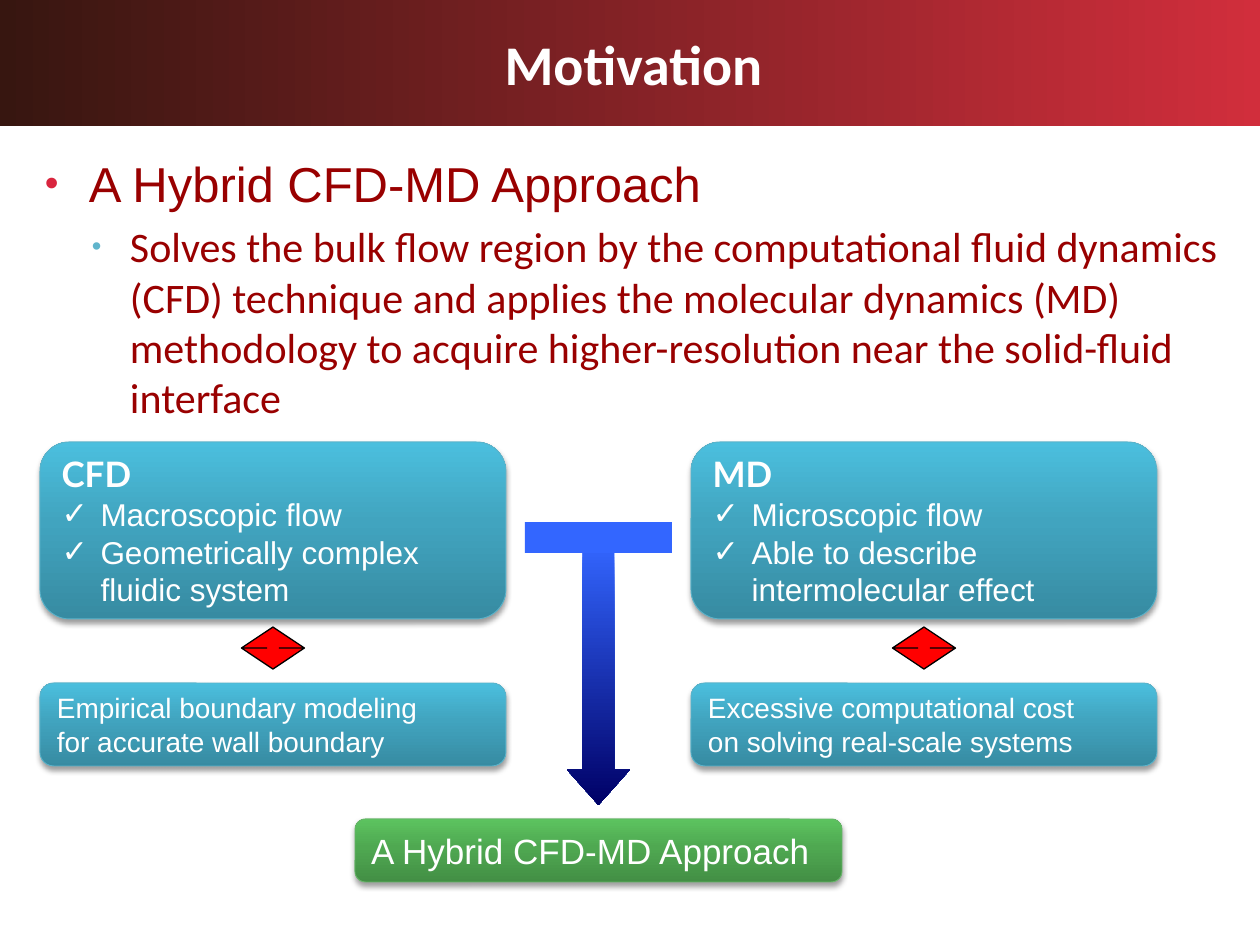
from copy import deepcopy

from lxml.etree import SubElement
from pptx import Presentation
from pptx.dml.color import RGBColor
from pptx.enum.shapes import MSO_SHAPE as Shape
from pptx.enum.text import MSO_ANCHOR as Anchor, MSO_AUTO_SIZE as AutoSize, PP_ALIGN as Align
from pptx.oxml.ns import qn
from pptx.util import Emu, Pt

SCALE = 914400 / 126  # EMU in one px
BLUE = ["378BA2", "41A4BF", "4BBFDE"]
GREEN = ["438F45", "4FA851", "5CC35F"]


def px(length):
    return Emu(round(length * SCALE))


def color(value):
    return RGBColor.from_string(value)


class SlideBuilder:
    """Holds the style and the slide that is being filled."""

    heading = {"name": "Calibri", "size": Pt(32), "bold": True, "color": "FFFFFF"}
    topic = {"name": "Arial", "size": Pt(28), "color": "990000"}
    detail = {"name": "Calibri", "size": Pt(24), "color": "990000"}
    method = {"name": "Lato", "size": Pt(20), "bold": True, "color": "FFFFFF"}
    point = {"name": "Arial", "size": Pt(18), "bold": False, "color": "FFFFFF"}
    limit = {"name": "Arial", "size": Pt(16), "color": "FFFFFF"}
    result = {"name": "Arial", "size": Pt(20), "color": "FFFFFF"}

    def __init__(self, deck):
        self.slide = deck.slides.add_slide(deck.slide_layouts[1])

    def place(self, item, box):
        for name, length in zip(("left", "top", "width", "height"), box):
            setattr(item, name, px(length))

    def frame(self, item, anchor, insets=(13, 6, 13, 6)):
        frame = item.text_frame
        sides = ("margin_left", "margin_top", "margin_right", "margin_bottom")
        values = dict(zip(sides, map(px, insets)))
        values.update(word_wrap=True, auto_size=AutoSize.NONE, vertical_anchor=anchor)
        for name, value in values.items():
            setattr(frame, name, value)
        return frame

    def gradient(self, item, colors, angle):
        item.fill.gradient()
        item.fill.gradient_angle = angle
        stop_list = item._element.spPr.find(".//" + qn("a:gsLst"))
        if len(colors) == 3:
            stop_list.insert(1, deepcopy(stop_list[0]))
        positions = (0, 0.55, 1) if len(colors) == 3 else (0, 1)
        for stop, value, position in zip(item.fill.gradient_stops, colors, positions):
            stop.color.rgb = color(value)
            stop.position = position

    def paragraph(self, frame, text, style, align=Align.LEFT, level=0, before=0,
                  indent=None, bullet=None):
        first = not frame.paragraphs[0].runs
        para = frame.paragraphs[0] if first else frame.add_paragraph()
        para.text = text.replace("\n", "\v")
        para.alignment, para.level, para.space_before = align, level, Pt(before)
        props = para._p.get_or_add_pPr()
        if indent:
            props.set("marL", str(px(indent[0])))
            props.set("indent", str(px(indent[1])))
        if bullet:
            char, tint, percent = bullet
            SubElement(SubElement(props, qn("a:buClr")), qn("a:srgbClr"), val=tint)
            SubElement(props, qn("a:buSzPct"), val=str(percent * 1000))
            SubElement(props, qn("a:buFont"), typeface="Arial")
            SubElement(props, qn("a:buChar"), char=char)
        for span in para.runs:
            for name, value in style.items():
                if name == "color":
                    span.font.color.rgb = color(value)
                else:
                    setattr(span.font, name, value)
        # Line breaks take the run format, so that line heights agree
        for line_break in para._p.findall(qn("a:br")):
            line_break.append(deepcopy(para.runs[0]._r.rPr))

    def title(self, text, box):
        title = self.slide.shapes.title
        self.place(title, box)
        self.gradient(title, ["371610", "D12E3C"], 0)
        frame = self.frame(title, Anchor.MIDDLE, (13, 6, 6, 6))
        self.paragraph(frame, text, self.heading, Align.CENTER)

    def body(self, box):
        body = self.slide.placeholders[1]
        self.place(body, box)
        return self.frame(body, Anchor.TOP, (8, 17, 13, 6))

    def shape(self, kind, box, fill, line=None, width=0.5, angle=90, adjust=()):
        shape = self.slide.shapes.add_shape(kind, *map(px, box))
        shape.shadow.inherit = False
        for number, value in enumerate(adjust):
            shape.adjustments[number] = value
        if isinstance(fill, list):
            self.gradient(shape, fill, angle)
        else:
            shape.fill.solid()
            shape.fill.fore_color.rgb = color(fill)
        if line:
            shape.line.color.rgb = color(line)
            shape.line.width = Pt(width)
        else:
            shape.line.fill.background()
        return shape

    def card(self, box, fill, line):
        card = self.shape(Shape.ROUNDED_RECTANGLE, box, fill, line)
        effects = card._element.spPr.find(qn("a:effectLst"))
        shadow = SubElement(effects, qn("a:outerShdw"), blurRad=str(Pt(3.1)),
                            dist=str(Pt(2)), dir="5400000", rotWithShape="0")
        black = SubElement(shadow, qn("a:srgbClr"), val="000000")
        SubElement(black, qn("a:alpha"), val="38000")
        return self.frame(card, Anchor.MIDDLE)

    def column(self, left, name, points, limit):
        width = 466
        frame = self.card((left, 442, width, 177), BLUE, "5BB3CA")
        self.paragraph(frame, name, self.method, indent=(39, -39))
        for text in points:
            self.paragraph(frame, text, self.point, indent=(39, -39),
                           bullet=("✓", "FFFFFF", 100))
        frame = self.card((left, 683, width, 83), BLUE, "5BB3CA")
        self.paragraph(frame, limit, self.limit)
        self.shape(Shape.UP_DOWN_ARROW, (left + (width - 63) / 2, 627, 63, 42),
                   "FF0000", "000000", 0.75, adjust=(0.5, 0.2))


def main():
    deck = Presentation()
    deck.slide_width, deck.slide_height = px(1260), px(945)
    page = SlideBuilder(deck)

    # Title band and introduction
    page.title("Motivation", (0, 0, 1260, 126))
    frame = page.body((21, 136, 1218, 703))
    page.paragraph(frame, "A Hybrid CFD-MD Approach", page.topic,
                   indent=(60, -44), bullet=("•", "D9253E", 80))
    page.paragraph(frame, "Solves the bulk flow region by the computational fluid dynamics "
                   "(CFD) technique and applies the molecular dynamics (MD) methodology to "
                   "acquire higher-resolution near the solid-fluid interface", page.detail,
                   level=1, before=5, indent=(101, -38), bullet=("•", "60B5CC", 65))

    # The two methods, each with its limit
    page.column(40, "CFD", ["Macroscopic flow", "Geometrically complex\nfluidic system"],
                "Empirical boundary modeling\nfor accurate wall boundary")
    page.column(691, "MD", ["Microscopic flow", "Able to describe\nintermolecular effect"],
                "Excessive computational cost\non solving real-scale systems")

    # Both methods lead to the hybrid approach
    page.shape(Shape.DOWN_ARROW, (567, 543, 63, 262), ["3366FF", "000066"], angle=270,
               adjust=(0.5, 0.56))
    page.shape(Shape.RECTANGLE, (525, 522, 147, 31), "3366FF")
    frame = page.card((355, 819, 487, 63), GREEN, "67B569")
    page.paragraph(frame, "A Hybrid CFD-MD Approach", page.result)

    deck.save("out.pptx")


if __name__ == "__main__":
    main()
